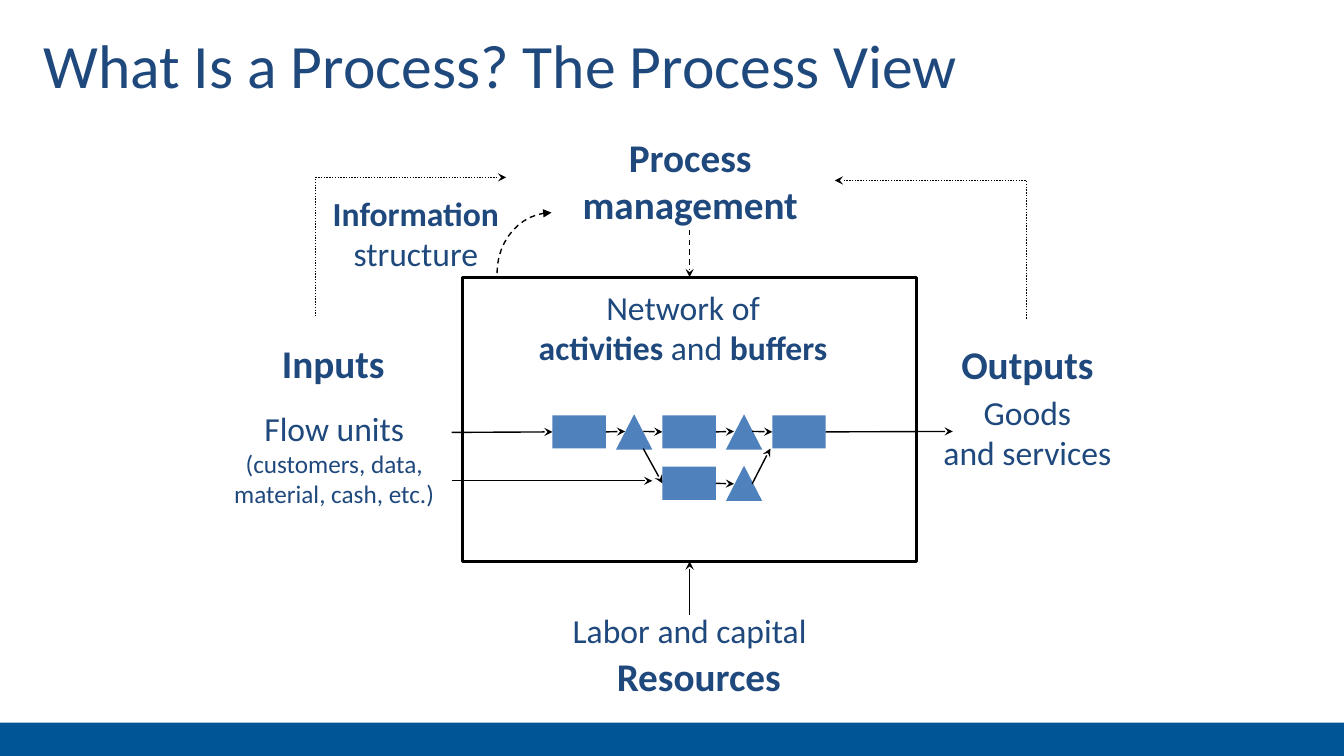
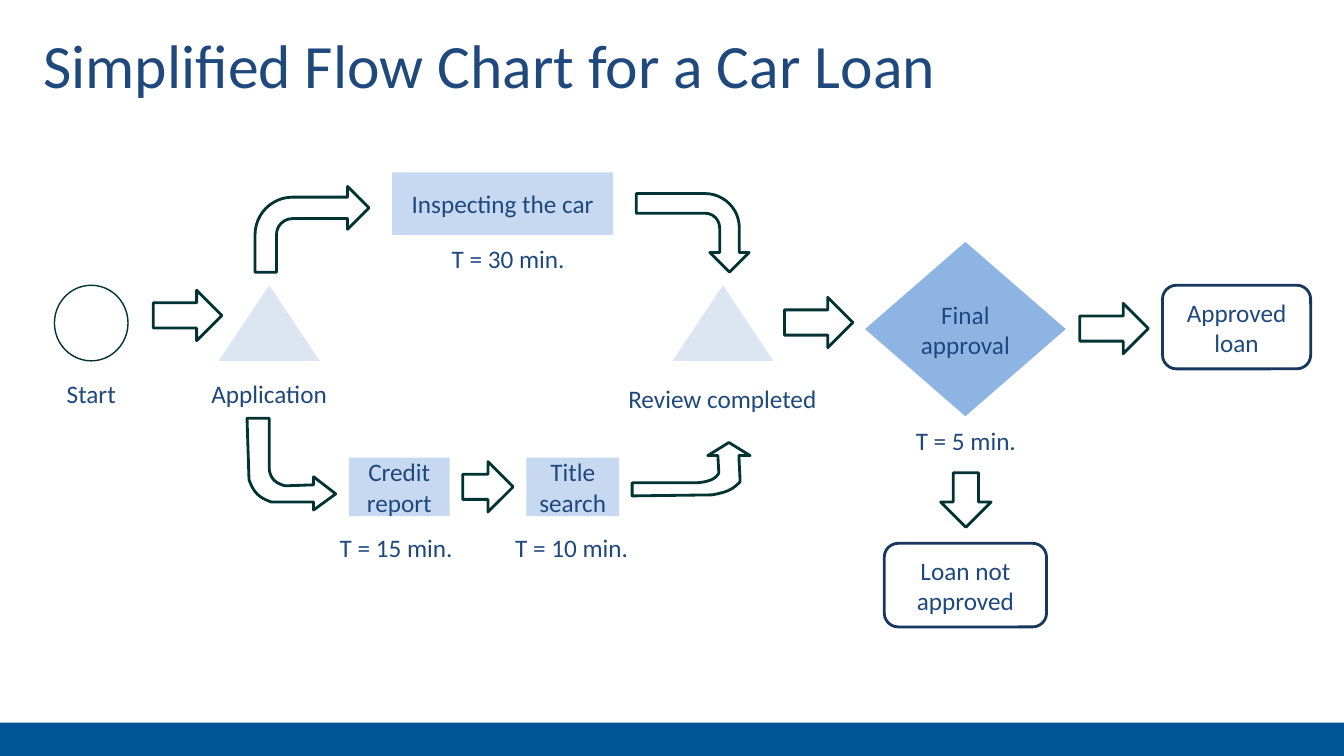
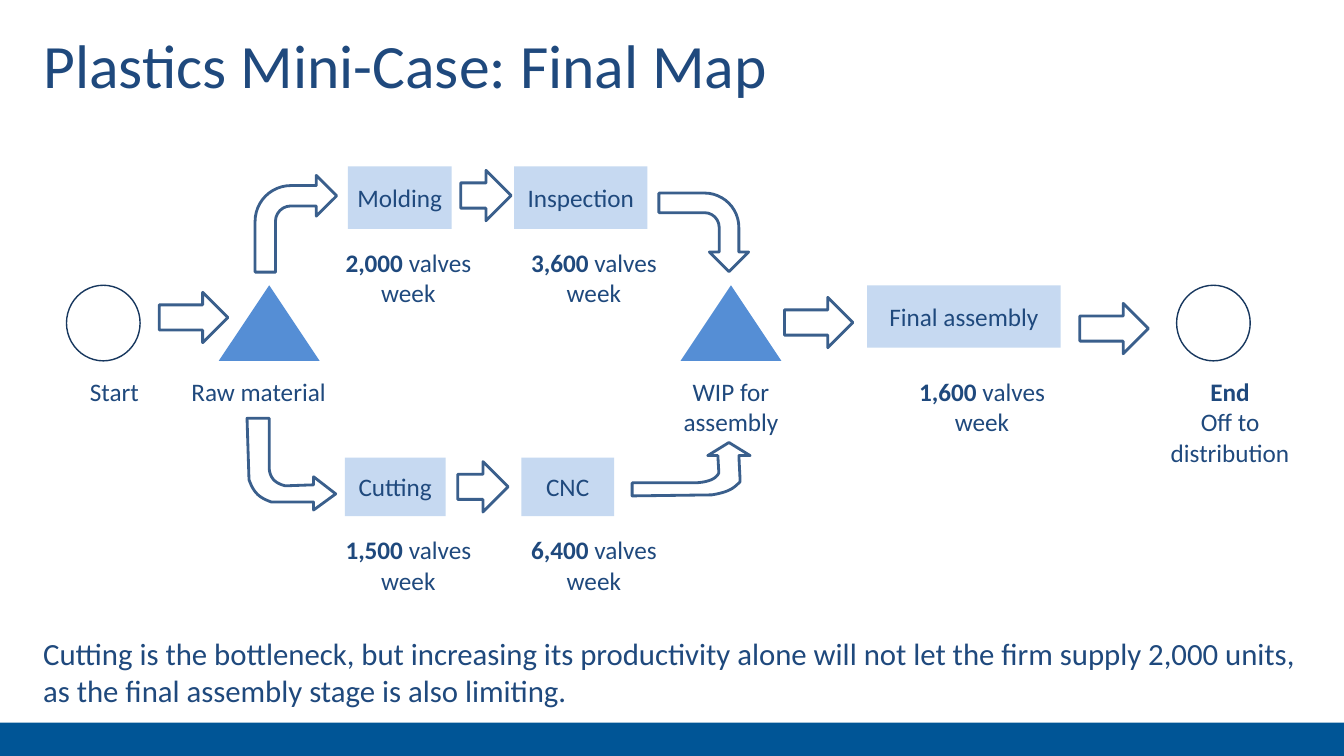
from dataclasses import dataclass
from typing import Any, NamedTuple, Optional, Sequence, Union

import lxml.etree
import pptx
import pptx.dml.color
import pptx.enum.dml
import pptx.enum.shapes
import pptx.enum.text
import pptx.oxml.ns
import pptx.util

Inches = pptx.util.Inches
Shape = pptx.enum.shapes.MSO_SHAPE
Dash = pptx.enum.dml.MSO_LINE
Align = pptx.enum.text.PP_ALIGN
Anchor = pptx.enum.text.MSO_ANCHOR

# Shared look
FONT = "Calibri"
NAVY = "1F497D"
BAND_BLUE = "005596"
PALE_BLUE = "C6D9F1"
ACTIVITY_BLUE = "4F81BD"
OUTLINE_BLUE = "17375E"
BLACK = "000000"
WHITE = "FFFFFF"
SLIDE_WIDTH, SLIDE_HEIGHT = 13.33, 7.5
BAND_BOX = (0, 7.17, SLIDE_WIDTH, 0.33)
TITLE_BOX = (0.33, 0.17, 12.67, 0.92)

Box = tuple[float, float, float, float]
Point = tuple[float, float]


class Run(NamedTuple):
    text: str
    size: int = 18
    bold: bool = False


Paragraphs = Sequence[Sequence[Run]]


@dataclass
class Part:
    """A preset shape, or a plain text box when kind is None."""
    kind: Optional[Shape]
    box: Box
    paragraphs: Paragraphs = ()
    fill: Optional[str] = None
    line: Optional[str] = None
    line_width: float = 2
    wrap: bool = True
    align: Align = Align.CENTER
    anchor: Anchor = Anchor.MIDDLE
    rotation: float = 0


class Side(NamedTuple):
    """The middle of a rectangle's side: 0 top, 1 left, 2 bottom, 3 right."""
    shape: Any
    index: int


End = Union[Point, Side]


# Formatting helpers
def colour(hex_code: str) -> pptx.dml.color.RGBColor:
    return pptx.dml.color.RGBColor.from_string(hex_code)


def set_all(target: Any, values: dict[str, Any]) -> None:
    for name, value in values.items():
        setattr(target, name, value)


def place(shape: Any, box: Box) -> None:
    set_all(shape, dict(zip(("left", "top", "width", "height"), map(Inches, box))))


def lines(*texts: str, size: int = 18, bold: bool = False) -> Paragraphs:
    return [[Run(text, size, bold)] for text in texts]


def write_text(frame: Any, paragraphs: Paragraphs, wrap: bool = True,
               align: Align = Align.CENTER, anchor: Anchor = Anchor.MIDDLE) -> None:
    set_all(frame, {"auto_size": pptx.enum.text.MSO_AUTO_SIZE.NONE,
                    "word_wrap": wrap, "vertical_anchor": anchor})
    for number, runs in enumerate(paragraphs):
        paragraph = frame.add_paragraph() if number else frame.paragraphs[0]
        paragraph.alignment = align
        for text, size, bold in runs:
            run = paragraph.add_run()
            run.text = text
            set_all(run.font, {"name": FONT, "size": pptx.util.Pt(size), "bold": bold})
            run.font.color.rgb = colour(NAVY)


def set_fill(shape: Any, hex_code: Optional[str]) -> None:
    if hex_code:
        shape.fill.solid()
        shape.fill.fore_color.rgb = colour(hex_code)
    else:
        shape.fill.background()


def set_line(shape: Any, hex_code: Optional[str], width: float = 1,
             dash: Optional[Dash] = None, tip: Optional[str] = None) -> None:
    if not hex_code:
        shape.line.fill.background()
        return
    shape.line.color.rgb = colour(hex_code)
    set_all(shape.line, {"width": pptx.util.Pt(width), "dash_style": dash})
    if tip:
        qn = pptx.oxml.ns.qn
        outline = shape._element.spPr.find(qn("a:ln"))
        lxml.etree.SubElement(outline, qn("a:tailEnd"), type=tip)


# Drawing helpers
def draw(slide: Any, part: Part) -> Any:
    edges = [Inches(length) for length in part.box]
    if part.kind is None:
        shape = slide.shapes.add_textbox(*edges)
    else:
        shape = slide.shapes.add_shape(part.kind, *edges)
        shape.shadow.inherit = False
        shape.rotation = part.rotation
        set_fill(shape, part.fill)
        set_line(shape, part.line, part.line_width)
    if part.paragraphs:
        write_text(shape.text_frame, part.paragraphs, part.wrap, part.align, part.anchor)
    return shape


def draw_all(slide: Any, parts: Sequence[Part]) -> list[Any]:
    return [draw(slide, part) for part in parts]


def draw_arrow(slide: Any, start: End, end: End, dash: Optional[Dash] = None) -> None:
    first, last = [(0, 0) if isinstance(spot, Side) else spot for spot in (start, end)]
    arrow = slide.shapes.add_connector(
        pptx.enum.shapes.MSO_CONNECTOR.STRAIGHT, *map(Inches, (*first, *last)))
    if isinstance(start, Side):
        arrow.begin_connect(*start)
    if isinstance(end, Side):
        arrow.end_connect(*end)
    set_line(arrow, BLACK, 1, dash, "stealth")
    lxml.etree.SubElement(arrow._element.spPr, pptx.oxml.ns.qn("a:effectLst"))


def trace(steps: Sequence[tuple[float, ...]], pieces: int = 12) -> list[Point]:
    """Turn points and cubic curves (six numbers) into a list of points."""
    points: list[Point] = []
    for step in steps:
        if len(step) == 2:
            points.append(step)
            continue
        corners = [points[-1], step[0:2], step[2:4], step[4:6]]
        for piece in range(1, pieces + 1):
            t = piece / pieces
            weights = ((1 - t) ** 3, 3 * t * (1 - t) ** 2, 3 * t * t * (1 - t), t ** 3)
            points.append(tuple(sum(w * corner[axis] for w, corner in zip(weights, corners))
                                for axis in (0, 1)))
    return points


def draw_outline(slide: Any, steps: Sequence[tuple[float, ...]], line: str, width: float = 1,
                 dash: Optional[Dash] = None, tip: Optional[str] = None,
                 close: bool = False) -> None:
    points = [(Inches(x), Inches(y)) for x, y in trace(steps)]
    builder = slide.shapes.build_freeform(*points[0], scale=1.0)
    builder.add_line_segments(points[1:], close=close)
    outline = builder.convert_to_shape()
    outline.shadow.inherit = False
    set_fill(outline, None)
    set_line(outline, line, width, dash, tip)


def add_slide(deck: Any, title: str) -> Any:
    slide = deck.slides.add_slide(deck.slide_layouts.get_by_name("Title Only"))
    draw(slide, Part(Shape.RECTANGLE, BAND_BOX, fill=BAND_BLUE))
    place(slide.shapes.title, TITLE_BOX)
    write_text(slide.shapes.title.text_frame, lines(title, size=44), align=Align.LEFT)
    return slide


# Flow chart vocabulary
FORK_DOWN = [
    (2.67, 4.15), (2.67, 4.65), (2.68, 4.76, 2.75, 4.8, 2.83, 4.82), (3.11, 4.81),
    (3.11, 4.73), (3.33, 4.9), (3.11, 5.06), (3.11, 4.98),
    (2.99, 4.98, 2.81, 4.98, 2.69, 4.98), (2.58, 4.94, 2.52, 4.9, 2.47, 4.76), (2.45, 4.15)]
JOIN_UP = [
    (6.27, 4.79), (6.91, 4.79), (7.05, 4.78, 7.11, 4.74, 7.13, 4.69), (7.12, 4.52),
    (7.02, 4.52), (7.23, 4.39), (7.44, 4.52), (7.33, 4.52),
    (7.33, 4.59, 7.34, 4.71, 7.34, 4.78), (7.28, 4.84, 7.24, 4.88, 7.06, 4.91), (6.27, 4.92)]


def label(box: Box, *texts: str) -> Part:
    return Part(None, box, lines(*texts))


def rate(left: float, top: float, amount: str) -> Part:
    return Part(None, (left, top, 1.58, 0.71), [[Run(amount, bold=True), Run(" valves week")]])


def activity(box: Box, *texts: str) -> Part:
    return Part(Shape.RECTANGLE, box, lines(*texts), fill=PALE_BLUE, wrap=False)


def terminal(left: float, ink: str) -> Part:
    return Part(Shape.OVAL, (left, 2.83, 0.73, 0.75), fill=WHITE, line=ink, line_width=1)


def outcome(box: Box, text: str) -> Part:
    return Part(Shape.ROUNDED_RECTANGLE, box, lines(text), line=OUTLINE_BLUE)


def draw_flow_arrows(slide: Any, ink: str, right_arrows: Sequence[Box],
                     fork_up: Box, join_down: Box) -> None:
    shared = [(7.78, 2.95, 0.68, 0.5), (10.71, 3.01, 0.68, 0.5)]
    draw_all(slide, [Part(Shape.RIGHT_ARROW, box, line=ink) for box in [*shared, *right_arrows]])
    draw(slide, Part(Shape.BENT_ARROW, fork_up, line=ink))
    draw(slide, Part(Shape.BENT_ARROW, join_down, line=ink, rotation=90))
    for hook in (FORK_DOWN, JOIN_UP):
        draw_outline(slide, hook, ink, 2, close=True)


def draw_buffers(slide: Any, lefts: Sequence[float], fill: str) -> None:
    draw_all(slide, [Part(Shape.ISOSCELES_TRIANGLE, (left, 2.83, 1, 0.75), fill=fill)
                     for left in lefts])


# Slides
def build_process_view(deck: Any) -> None:
    slide = add_slide(deck, "What Is a Process? The Process View")
    network = draw(slide, Part(Shape.RECTANGLE, (4.59, 2.75, 4.5, 2.82), fill=WHITE, line=BLACK))

    # Captions around and inside the network
    captions = [
        ((2.61, 3.31, 1.39, 0.58), lines("Inputs", size=28, bold=True)),
        ((9.34, 3.32, 1.7, 0.58), lines("Outputs", size=28, bold=True)),
        ((5.82, 6.42, 2.22, 0.57), lines("Resources", size=28, bold=True)),
        ((5.55, 1.25, 2.59, 1.07), lines("Process", "management", size=28, bold=True)),
        ((9.44, 3.83, 1.5, 0.91), lines("Goods", "and services", size=24)),
        ((5.55, 6, 2.58, 0.51), lines("Labor and capital", size=24)),
        ((3.07, 1.85, 2.11, 0.93), [[Run("Information", 24, True)], [Run("structure", 24)]]),
        ((4.96, 2.79, 3.63, 0.91), [
            [Run("Network of", 24)],
            [Run("activities", 24, True), Run(" and ", 24), Run("buffers", 24, True)]]),
        ((2.11, 3.99, 2.41, 1.11), [
            [Run("Flow units", 24)],
            *lines("(customers, data,", "material, cash, etc.)")]),
    ]
    draw_all(slide, [Part(None, box, text, wrap=False) for box, text in captions])

    # Activities and buffers on a regular grid
    column, row = 1.09, 0.51
    upper, lower = 4.28, 4.8
    first, second, third, branch = draw_all(slide, [
        Part(Shape.RECTANGLE, (5.48 + column * x, 4.12 + row * y, 0.53, 0.33), fill=ACTIVITY_BLUE)
        for x, y in ((0, 0), (1, 0), (2, 0), (1, 1))])
    draw_all(slide, [
        Part(Shape.ISOSCELES_TRIANGLE, (6.11 + column * x, 4.11 + row * y, 0.36, 0.35),
             fill=ACTIVITY_BLUE)
        for x, y in ((0, 0), (1, 0), (1, 1))])

    # Flow through the network
    flows: list[tuple[End, End]] = [
        ((4.48, 4.29), Side(first, 1)),
        (Side(first, 3), (6.2, upper)),
        ((6.38, upper), Side(second, 1)),
        (Side(second, 3), (7.28, upper)),
        ((7.46, upper), Side(third, 1)),
        (Side(third, 3), (9.45, upper)),
        ((6.38, 4.45), Side(branch, 1)),
        (Side(branch, 3), (7.28, lower)),
        ((7.46, lower), (7.64, 4.45)),
        ((4.48, 4.77), (6.47, 4.77)),
        ((6.84, 6.1), Side(network, 2)),
    ]
    for start, end in flows:
        draw_arrow(slide, start, end)

    # Management and information links
    draw_arrow(slide, (6.84, 2.28), Side(network, 0), Dash.DASH)
    for feedback in ([(3.13, 3.14), (3.13, 1.76), (5.02, 1.76)],
                     [(10.18, 3.16), (10.18, 1.79), (8.28, 1.79)]):
        draw_outline(slide, feedback, BLACK, 1, Dash.ROUND_DOT, "stealth")
    information = [(4.93, 2.71), (4.93, 2.38, 5.17, 2.11, 5.47, 2.11)]
    draw_outline(slide, information, BLACK, 1, Dash.DASH, "triangle")


def build_car_loan(deck: Any) -> None:
    slide = add_slide(deck, "Simplified Flow Chart for a Car Loan")
    ink = "013334"
    draw_buffers(slide, (2.17, 6.67), "DCE6F2")
    draw_all(slide, [
        terminal(0.54, ink),
        activity((3.89, 1.71, 2.19, 0.62), "Inspecting the car"),
        activity((3.46, 4.54, 1, 0.58), "Credit", "report"),
        activity((5.22, 4.54, 0.92, 0.58), "Title", "search"),
        Part(Shape.FLOWCHART_DECISION, (8.58, 2.4, 1.99, 1.73), lines("Final", "approval"),
             fill="8EB4E3", wrap=False),
        outcome((8.77, 5.39, 1.61, 0.83), "Loan not approved"),
        outcome((11.53, 2.83, 1.47, 0.83), "Approved loan"),
        label((0.43, 3.7, 0.95, 0.4), "Start"),
        label((1.92, 3.7, 1.5, 0.4), "Application"),
        label((6.08, 3.7, 2.17, 0.5), "Review completed"),
    ])
    for left, top, minutes in ((4.29, 2.36, 30), (3.18, 5.23, 15), (4.92, 5.23, 10),
                               (8.83, 4.17, 5)):
        draw(slide, label((left, top, 1.5, 0.4), f"T = {minutes} min."))
    draw(slide, Part(Shape.DOWN_ARROW, (9.33, 4.69, 0.5, 0.54), line=ink))
    draw_flow_arrows(slide, ink, [(1.52, 2.88, 0.68, 0.5), (4.59, 4.58, 0.5, 0.5)],
                     fork_up=(2.53, 1.85, 1.13, 0.85), join_down=(6.48, 1.75, 0.78, 1.12))


def build_plastics_map(deck: Any) -> None:
    slide = add_slide(deck, "Plastics Mini-Case: Final Map")
    draw_buffers(slide, (2.17, 6.75), "558ED5")
    draw_all(slide, [
        terminal(0.66, OUTLINE_BLUE),
        terminal(11.67, OUTLINE_BLUE),
        activity((3.45, 1.65, 1.03, 0.62), "Molding"),
        activity((5.1, 1.65, 1.32, 0.62), "Inspection"),
        activity((3.42, 4.54, 1, 0.58), "Cutting"),
        activity((5.17, 4.54, 0.92, 0.58), "CNC"),
        activity((8.6, 2.83, 1.92, 0.62), "Final assembly"),
        rate(3.26, 2.4, "2,000"),
        rate(5.1, 2.4, "3,600"),
        rate(3.26, 5.25, "1,500"),
        rate(5.1, 5.25, "6,400"),
        rate(8.95, 3.68, "1,600"),
        label((0.66, 3.68, 0.95, 0.4), "Start"),
        label((1.65, 3.68, 1.83, 0.4), "Raw material"),
        label((6.5, 3.68, 1.5, 0.71), "WIP for assembly"),
        Part(None, (11.48, 3.68, 1.44, 1.01),
             [[Run("End", bold=True)], [Run("Off to distribution")]]),
        Part(None, (0.33, 6.25, 12.67, 0.84),
             lines("Cutting is the bottleneck, but increasing its productivity alone will not let "
                   "the firm supply 2,000 units, as the final assembly stage is also limiting.",
                   size=22),
             align=Align.LEFT, anchor=Anchor.TOP),
    ])
    draw_flow_arrows(
        slide, "3A5F8C",
        [(1.58, 2.9, 0.68, 0.5), (4.54, 4.58, 0.5, 0.5), (4.57, 1.69, 0.5, 0.5)],
        fork_up=(2.53, 1.74, 0.81, 0.96), join_down=(6.59, 1.86, 0.78, 0.89))


def main() -> None:
    deck = pptx.Presentation()
    set_all(deck, {"slide_width": Inches(SLIDE_WIDTH), "slide_height": Inches(SLIDE_HEIGHT)})
    for build in (build_process_view, build_car_loan, build_plastics_map):
        build(deck)
    deck.save("out.pptx")


if __name__ == "__main__":
    main()
